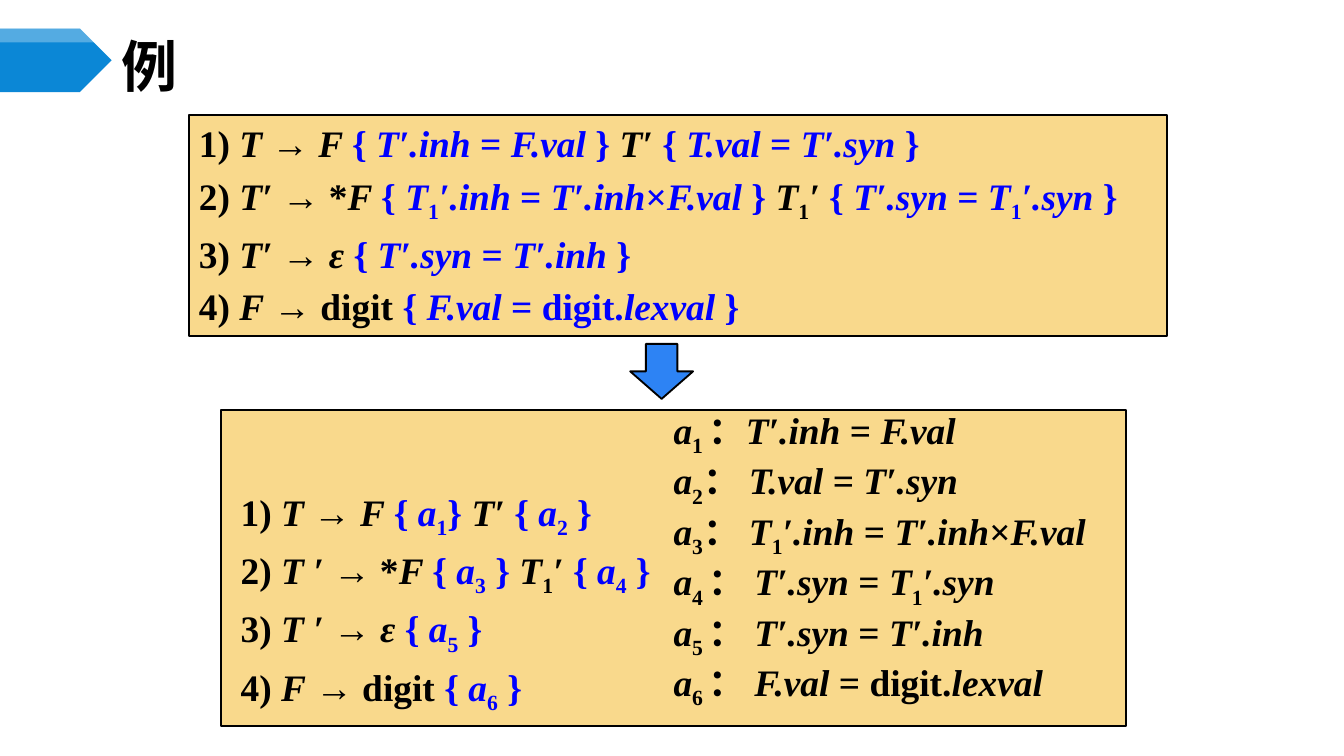
from collections import namedtuple
from lxml.etree import SubElement
from pptx import Presentation
from pptx.dml.color import RGBColor
from pptx.enum.shapes import MSO_SHAPE
from pptx.enum.text import MSO_ANCHOR
from pptx.oxml.ns import qn
from pptx.util import Cm, Pt

Theme = namedtuple("Theme", "ink code sand band white arrow font head body title")
theme = Theme(
    ink=RGBColor(0, 0, 0), code=RGBColor(0, 0, 255),
    sand=RGBColor(0xF9, 0xD9, 0x8C), band=RGBColor(0x0B, 0x87, 0xD6),
    white=RGBColor(255, 255, 255), arrow=RGBColor(0x2D, 0x83, 0xF4),
    font="Times New Roman", head="Noto Sans CJK SC", body=Pt(20), title=Pt(30))

deck = Presentation()
deck.slide_width, deck.slide_height = Cm(25.4), Cm(14.29)
slide = deck.slides.add_slide(deck.slide_layouts[6])


def draw(kind, left, top, width, height, fill, line=None):
    shape = slide.shapes.add_shape(kind, Cm(left), Cm(top), Cm(width), Cm(height))
    shape.shadow.inherit = False
    shape.fill.solid()
    shape.fill.fore_color.rgb = fill
    if line is None:
        shape.line.fill.background()
    else:
        shape.line.color.rgb = line
        shape.line.width = Pt(1)
    return shape


def write(shape, rows, hang=0, pitch=None):
    """Markers: / toggles italic, | toggles blue, _ toggles subscript."""
    frame = shape.text_frame
    frame.word_wrap = True
    frame.vertical_anchor = MSO_ANCHOR.TOP
    frame.margin_left = frame.margin_right = Cm(0.18)
    frame.margin_top = frame.margin_bottom = Cm(0.1)
    for i, row in enumerate(rows):
        para = frame.add_paragraph() if i else frame.paragraphs[0]
        para.alignment = 1
        if i:
            para.space_before = Pt(4)
        if pitch:
            para.line_spacing = pitch
        if hang:
            props = para._p.get_or_add_pPr()
            props.set("marL", str(Cm(hang)))
            props.set("indent", str(-Cm(hang)))
        para.font.name, para.font.size, para.font.bold = theme.font, theme.body, True
        state, part = {"/": False, "|": False, "_": False}, ""
        for char in row + "/":
            if char not in state:
                part += char
                continue
            if part:
                run = para.add_run()
                run.text = part
                run.font.color.rgb = theme.code if state["|"] else theme.ink
                run.font.italic = state["/"] and not state["_"]
                if state["_"]:
                    run.font._element.set("baseline", "-25000")
            state[char], part = not state[char], ""


# Title band with a lighter strip on top
draw(MSO_SHAPE.PENTAGON, 0, 0.54, 2.11, 1.2, theme.band)
strip = draw(MSO_SHAPE.PENTAGON, 0, 0.54, 2.11, 0.26, theme.white)
tint = strip.fill._xPr.find(qn("a:solidFill"))[0]
SubElement(tint, qn("a:alpha"), val="30000")

# Panels
draw(MSO_SHAPE.RECTANGLE, 4.17, 7.75, 17.12, 5.97, theme.sand, theme.ink)
rules = draw(MSO_SHAPE.RECTANGLE, 3.58, 2.18, 18.47, 4.17, theme.sand, theme.ink)

# Translation scheme
write(rules, [
    "1) /T /→ /F /|{ /T′.inh /= /F.val/ } |/T′ /|{ /T.val /= /T′.syn/ }",
    "2) /T′ /→ */F /|{ /T_1_′.inh /= /T′.inh/×/F.val/ } |/T_1_′ /"
    "|{ /T′.syn /= /T_1_′.syn/ }",
    "3) /T′ /→ /ε /|{ /T′.syn /= /T′.inh/ }",
    "4) /F/ → digit |{ /F.val/ = digit./lexval/ }",
])

# Named actions
acts = slide.shapes.add_textbox(Cm(12.55), Cm(7.75), Cm(10.06), Cm(4.62))
write(acts, [
    "/a_1 _/：/T′.inh /= /F.val",
    "/a_2_/： /T.val /= /T′.syn",
    "/a_3_/： /T_1_′.inh /= /T′.inh/×/F.val",
    "/a_4 _/： /T′.syn /= /T_1_′.syn",
    "/a_5 _/： /T′.syn /= /T′.inh",
    "/a_6 _/： /F.val/ = digit./lexval",
], hang=0.71, pitch=Pt(23))

# Scheme with the actions abbreviated
brief = slide.shapes.add_textbox(Cm(4.37), Cm(9.14), Cm(8.23), Cm(3.18))
write(brief, [
    "1) /T /→ /F /|{ /a_1_/} |/T′ /|{ /a_2_/ }",
    "2) /T ′ /→ */F /|{ /a_3_/ } |/T_1_′ /|{ /a_4_/ }",
    "3) /T ′ /→ /ε /|{ /a_5_/ }",
    "4) /F/ → digit |{ /a_6_/ }",
], hang=0.71)

# Arrow between the panels
draw(MSO_SHAPE.DOWN_ARROW, 11.91, 6.5, 1.19, 1.04, theme.arrow, theme.ink)

# Title
title = slide.shapes.add_textbox(Cm(2.11), Cm(0.74), Cm(22.02), Cm(0.99))
frame = title.text_frame
frame.word_wrap = True
frame.vertical_anchor = MSO_ANCHOR.MIDDLE
frame.margin_left = frame.margin_right = Cm(0.18)
frame.margin_top = frame.margin_bottom = Cm(0.1)
para = frame.paragraphs[0]
para.text = "例"
font = para.font
font.name, font.size, font.bold = theme.head, theme.title, True
font.color.rgb = theme.ink
SubElement(font._element, qn("a:ea"), typeface=theme.head)

deck.save("out.pptx")
